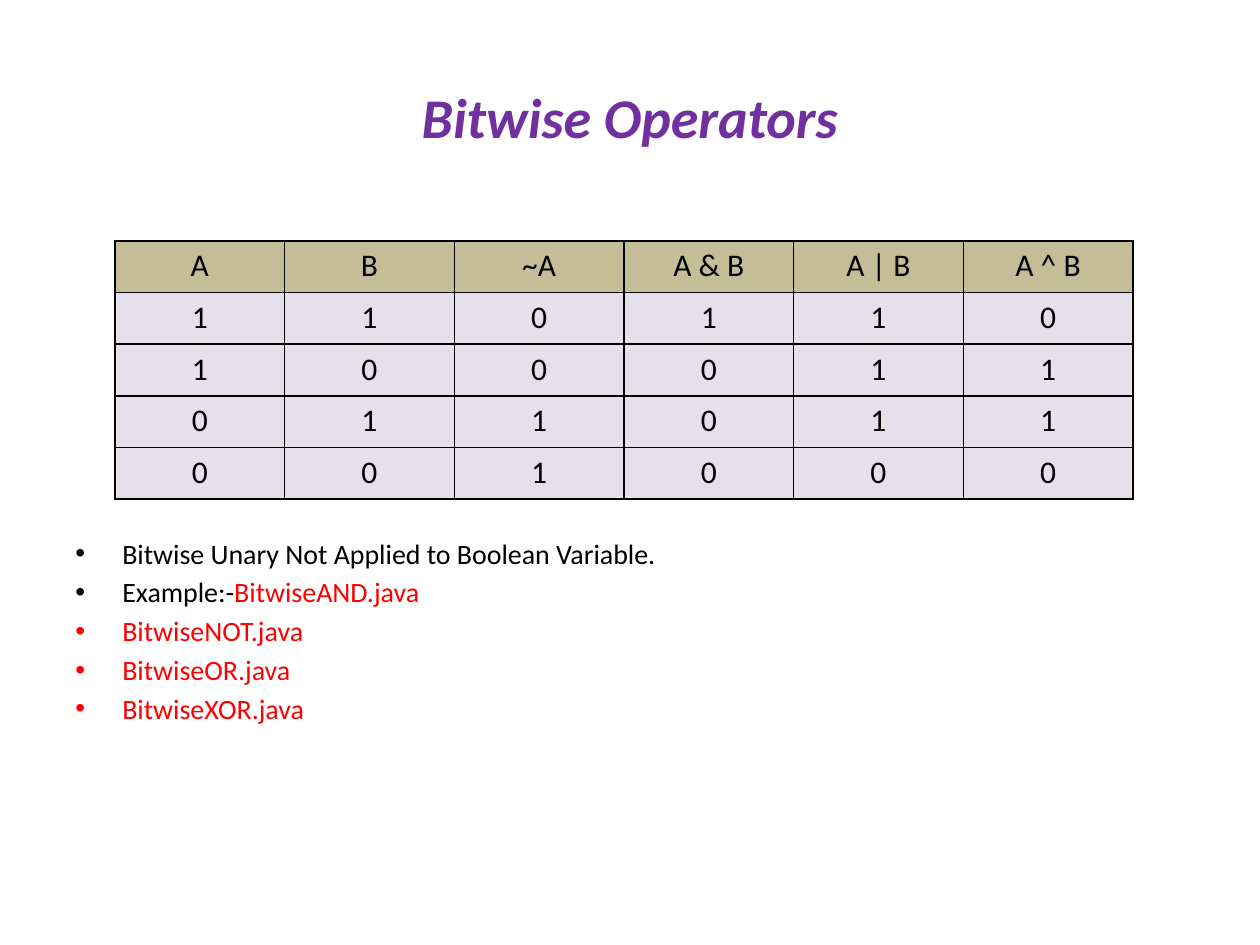
from pptx import Presentation
from pptx.dml.color import RGBColor
from pptx.enum.text import MSO_ANCHOR as Anchor, PP_ALIGN as Align
from pptx.oxml import parse_xml
from pptx.oxml.ns import nsdecls
from pptx.util import Pt

PX = 914400 // 126
FONT = "Calibri"
COLORS = {"title": "7030A0", "text": "000000", "file": "FF0000",
          "header": "C4BD97", "body": "E6E0EC", "border": "000000"}
TRUTH_TABLE = [
    ["A", "B", "~A", "A & B", "A | B", "A ^ B"],
    ["1", "1", "0", "1", "1", "0"],
    ["1", "0", "0", "0", "1", "1"],
    ["0", "1", "1", "0", "1", "1"],
    ["0", "0", "1", "0", "0", "0"],
]
NOTES = [
    [("Bitwise Unary Not Applied to Boolean Variable.", "text")],
    [("Example:-", "text"), ("BitwiseAND.java", "file")],
    [("BitwiseNOT.java", "file")],
    [("BitwiseOR.java", "file")],
    [("BitwiseXOR.java", "file")],
]


def emu(box):
    """Turn a box in pixels into EMU."""
    return [length * PX for length in box]


def style(font, size, color):
    """Set the typeface, size and colour of a font."""
    font.name, font.size = FONT, Pt(size)
    font.color.rgb = RGBColor.from_string(COLORS[color])


def add_title(slide, box, text):
    """Place and format the title placeholder."""
    title = slide.shapes.title
    title.left, title.top, title.width, title.height = emu(box)
    title.text_frame.text = text
    title.text_frame.vertical_anchor = Anchor.MIDDLE
    heading = title.text_frame.paragraphs[0]
    heading.alignment = Align.CENTER
    style(heading.font, 32, "title")
    heading.font.bold = heading.font.italic = True


def add_borders(cell):
    """Draw a thin line on all four sides of a cell, before its fill."""
    props = cell._tc.get_or_add_tcPr()
    for index, side in enumerate(("lnL", "lnR", "lnT", "lnB")):
        props.insert(index, parse_xml(
            f'<a:{side} {nsdecls("a")} w="{Pt(1)}"><a:solidFill>'
            f'<a:srgbClr val="{COLORS["border"]}"/></a:solidFill></a:{side}>'))


def add_truth_table(slide, box, rows):
    """Fill the box with an even grid under a header row."""
    grid = slide.shapes.add_table(len(rows), len(rows[0]), *emu(box)).table
    for r, row in enumerate(rows):
        for c, value in enumerate(row):
            cell = grid.cell(r, c)
            cell.text = value
            cell.margin_left = cell.margin_right = 6 * PX
            cell.margin_top = cell.margin_bottom = 6 * PX
            cell.fill.solid()
            cell.fill.fore_color.rgb = RGBColor.from_string(
                COLORS["body" if r else "header"])
            add_borders(cell)
            label = cell.text_frame.paragraphs[0]
            label.alignment = Align.CENTER
            style(label.font, 18, "text")


def add_notes(slide, box, notes):
    """Write a bulleted list whose runs may differ in colour."""
    frame = slide.shapes.add_textbox(*emu(box)).text_frame
    frame.word_wrap = True
    for index, parts in enumerate(notes):
        note = frame.add_paragraph() if index else frame.paragraphs[0]
        note.space_before = Pt(3 if index else 0)
        props = note._p.get_or_add_pPr()
        props.set("marL", str(47 * PX))
        props.set("indent", str(-47 * PX))
        props.append(parse_xml(f'<a:buFont {nsdecls("a")} typeface="Arial"/>'))
        props.append(parse_xml(f'<a:buChar {nsdecls("a")} char="•"/>'))
        for text, color in parts:
            run = note.add_run()
            run.text = text
            style(run.font, 16, color)


def main():
    """Build and save the slide."""
    deck = Presentation()
    deck.slide_width, deck.slide_height = emu((1260, 945))
    slide = deck.slides.add_slide(deck.slide_layouts[5])
    add_title(slide, (63, 38, 1134, 157), "Bitwise Operators")
    add_notes(slide, (63, 530, 1134, 314), NOTES)
    add_truth_table(slide, (115, 241, 1018, 258), TRUTH_TABLE)
    deck.save("out.pptx")


main()
